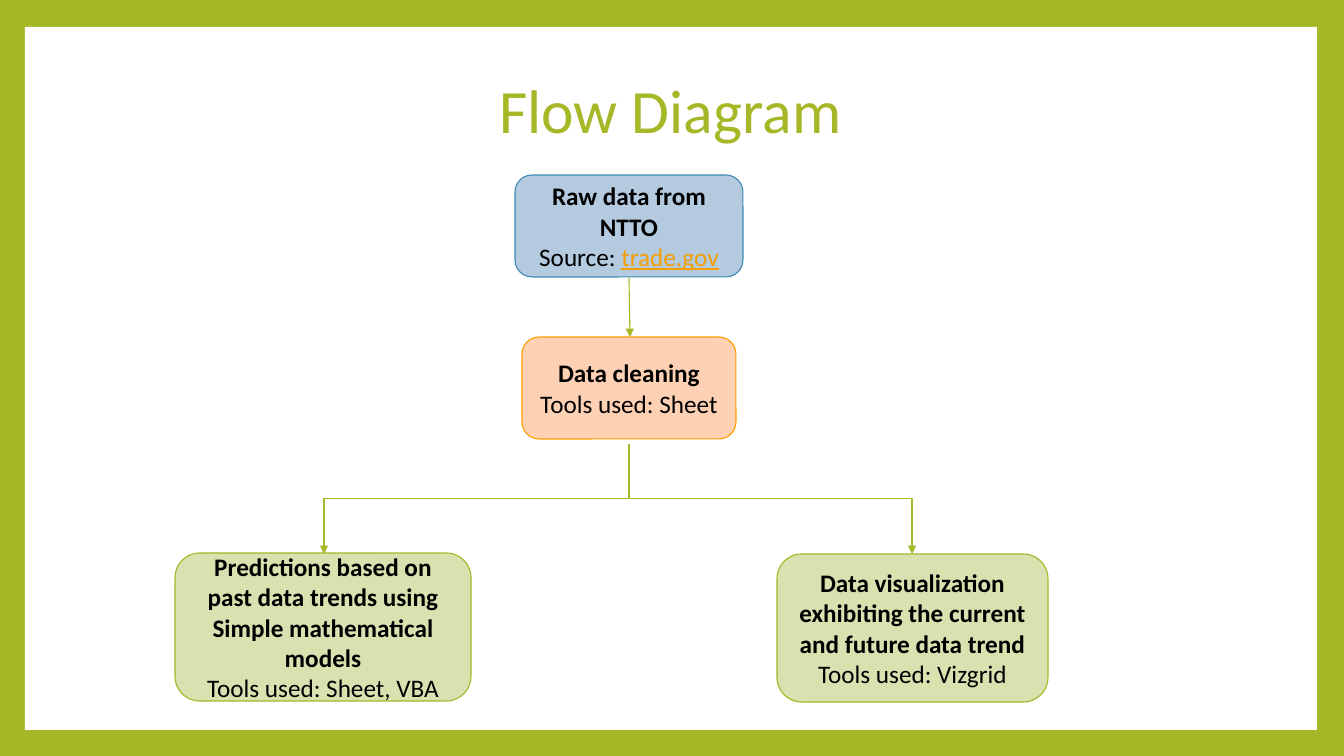
"""Build the flow diagram slide."""
import pptx
import pptx.dml.color
import pptx.enum.shapes
import pptx.enum.text
import pptx.oxml.ns
import pptx.util
from lxml import etree

RGB = pptx.dml.color.RGBColor
SHAPE = pptx.enum.shapes.MSO_SHAPE
LINK = pptx.enum.shapes.MSO_CONNECTOR
GREEN = RGB(0xA6, 0xB7, 0x27)
WHITE = RGB(0xFF, 0xFF, 0xFF)
BLACK = RGB(0x00, 0x00, 0x00)
BLUE = RGB(0x41, 0x8A, 0xB3)
PALE_BLUE = RGB(0xB3, 0xCA, 0xDF)
ORANGE = RGB(0xFE, 0x9E, 0x00)
PALE_ORANGE = RGB(0xFF, 0xD1, 0xB4)
PALE_GREEN = RGB(0xD8, 0xE1, 0xB0)
LINK_ORANGE = RGB(0xF5, 0x9E, 0x00)

BOLD = {"bold": True}
PLAIN = {"bold": False}
LINKED = {"underline": True, "color": LINK_ORANGE}
TITLE = {"size": 44, "color": GREEN}

SLIDE_SIZE = (1344, 756)
PANEL = (25, 27, 1292, 703)
TITLE_BOX = (126, 68, 1089, 91)
TITLE_TEXT = [[("Flow Diagram", TITLE)]]
STEPS = [
    ((515, 175, 228, 102), PALE_BLUE, BLUE,
     [[("Raw data from NTTO", BOLD)], [("Source: ", PLAIN), ("trade.gov", LINKED)]]),
    ((522, 337, 214, 102), PALE_ORANGE, ORANGE,
     [[("Data cleaning", BOLD)], [("Tools used: Sheet", PLAIN)]]),
    ((175, 553, 296, 148), PALE_GREEN, GREEN,
     [[("Predictions based on past data trends using Simple mathematical models", BOLD)],
      [("Tools used: Sheet, VBA", PLAIN)]]),
    ((777, 554, 271, 148), PALE_GREEN, GREEN,
     [[("Data visualization exhibiting the current and future data trend", BOLD)],
      [("Tools used: Vizgrid", PLAIN)]]),
]
DOWN_ARROW = ((629, 278), (630, 337))
FORK = (629, 444)
BRANCH_ENDS = [(324, 554), (912, 554)]
LINE_WIDTH = pptx.util.Pt(0.79)


def px(*lengths):
    """Turn px into EMU."""
    return [round(n * 914400 / 100.8) for n in lengths]


def write(sp, paragraphs, spacing=1.0):
    """Fill a shape with centred paragraphs of formatted runs."""
    tf = sp.text_frame
    tf.word_wrap = True
    tf.vertical_anchor = pptx.enum.text.MSO_ANCHOR.MIDDLE
    for i, runs in enumerate(paragraphs):
        p = tf.add_paragraph() if i else tf.paragraphs[0]
        p.alignment = pptx.enum.text.PP_ALIGN.CENTER
        p.line_spacing = spacing
        for text, changes in runs:
            r = p.add_run()
            r.text = text
            look = {"name": "Calibri", "size": 18, "color": BLACK, **changes}
            r.font.color.rgb = look.pop("color")
            look["size"] = pptx.util.Pt(look["size"])
            for key, value in look.items():
                setattr(r.font, key, value)


def add_box(slide, kind, box, fill, line=None):
    """Add a flat shape."""
    sp = slide.shapes.add_shape(kind, *px(*box))
    sp.shadow.inherit = False
    sp.fill.solid()
    sp.fill.fore_color.rgb = fill
    if line is None:
        sp.line.fill.background()
    else:
        sp.line.color.rgb = line
        sp.line.width = LINE_WIDTH
    return sp


def add_arrow(slide, kind, start, end):
    """Add a flat connector with an arrowhead at its end."""
    cx = slide.shapes.add_connector(kind, *px(*start, *end))
    cx.line.color.rgb = GREEN
    cx.line.width = LINE_WIDTH
    qn = pptx.oxml.ns.qn
    etree.SubElement(cx.line._get_or_add_ln(), qn("a:tailEnd"), type="triangle")
    etree.SubElement(cx._element.spPr, qn("a:effectLst"))
    return cx


def add_branch(slide, start, end):
    """Add an elbow that leaves and arrives vertically."""
    (x1, y1), (x2, y2) = start, end
    mid_x, mid_y = (x1 + x2) / 2, (y1 + y2) / 2
    side = 1 if x2 > x1 else -1
    half_w, half_h = abs(x2 - x1) / 2, (y2 - y1) / 2
    cx = add_arrow(slide, LINK.ELBOW,
                   (mid_x + side * half_h, mid_y - half_w),
                   (mid_x - side * half_h, mid_y + half_w))
    turn = 270 if side > 0 else 90
    cx._element.spPr.xfrm.set("rot", str(turn * 60000))


def main():
    prs = pptx.Presentation()
    prs.slide_width, prs.slide_height = px(*SLIDE_SIZE)
    s = prs.slides.add_slide(prs.slide_layouts[6])
    s.background.fill.solid()
    s.background.fill.fore_color.rgb = GREEN
    add_box(s, SHAPE.RECTANGLE, PANEL, WHITE)
    write(s.shapes.add_textbox(*px(*TITLE_BOX)), TITLE_TEXT, 0.9)
    for box, fill, line, paragraphs in STEPS:
        write(add_box(s, SHAPE.ROUNDED_RECTANGLE, box, fill, line), paragraphs)
    add_arrow(s, LINK.STRAIGHT, *DOWN_ARROW)
    for end in BRANCH_ENDS:
        add_branch(s, FORK, end)
    prs.save("out.pptx")


if __name__ == "__main__":
    main()
